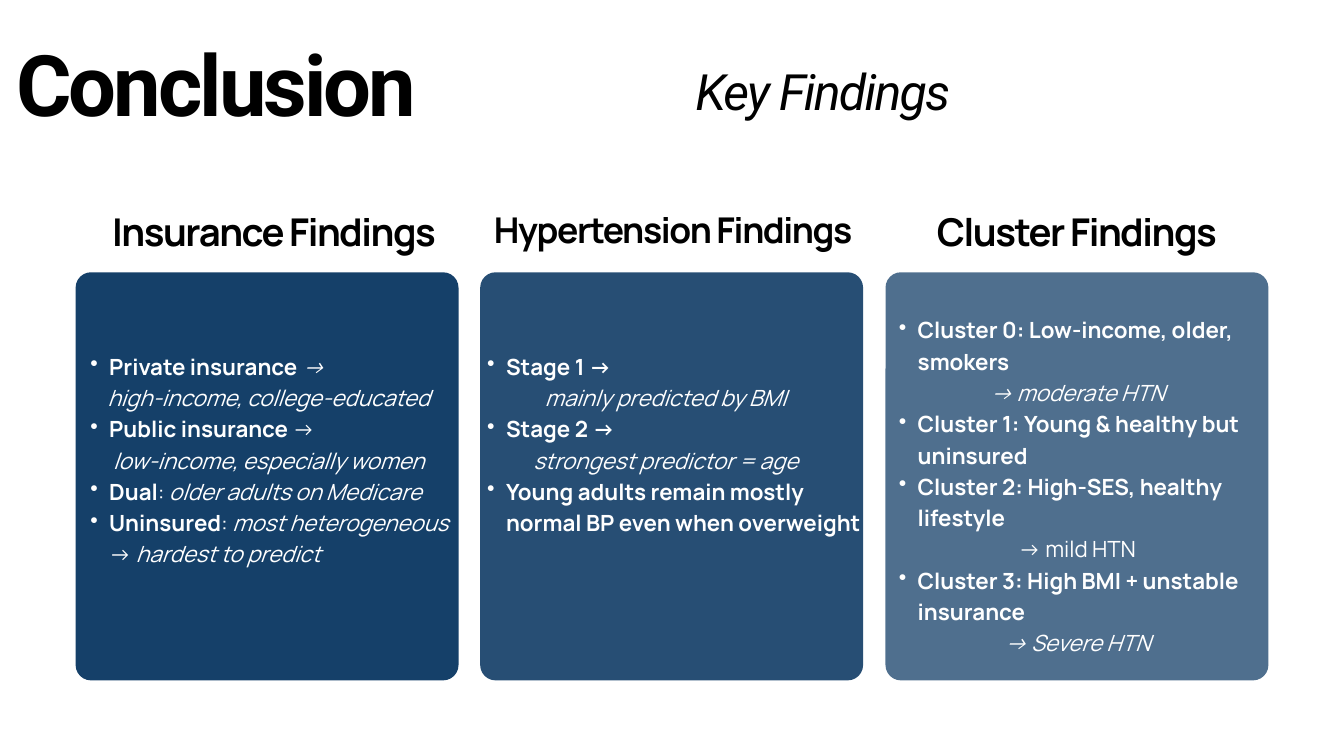
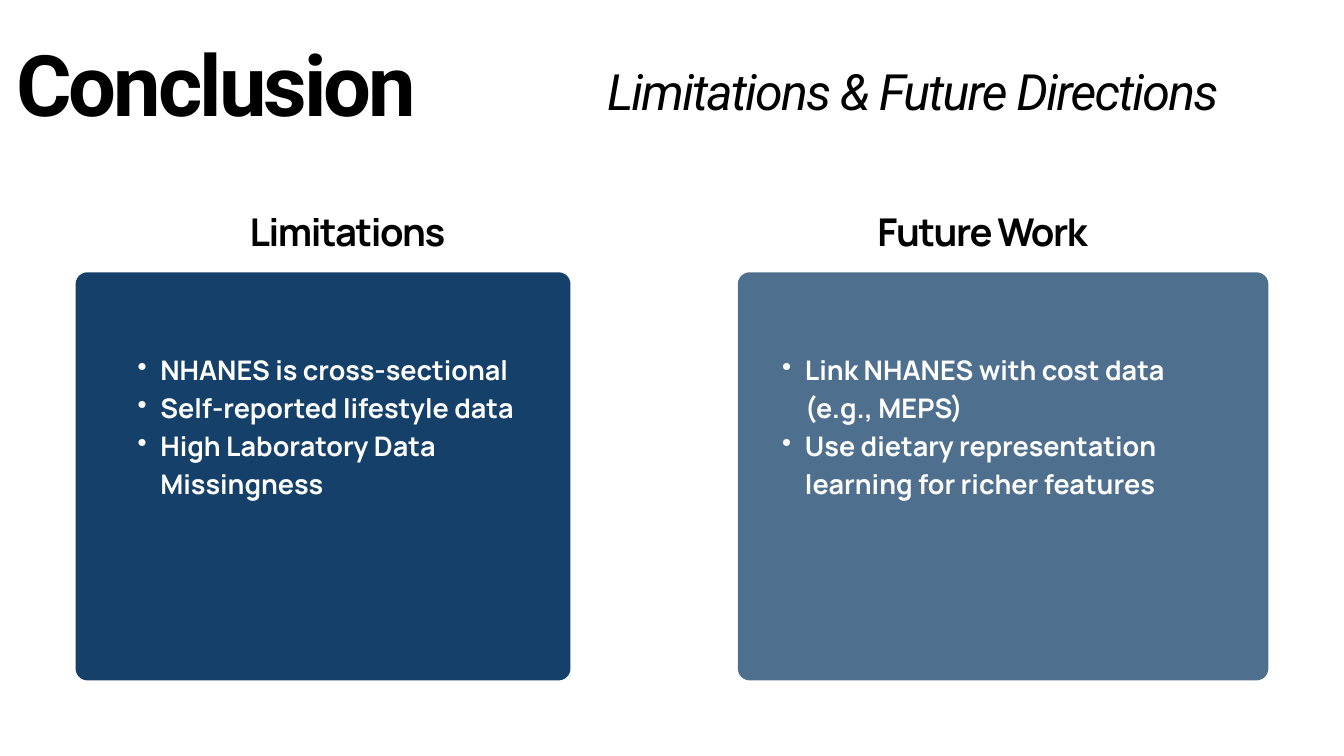
from dataclasses import dataclass

from lxml import etree
from pptx import Presentation
from pptx.dml.color import RGBColor
from pptx.enum.shapes import MSO_SHAPE
from pptx.enum.text import MSO_ANCHOR, MSO_AUTO_SIZE, PP_ALIGN
from pptx.oxml.ns import qn
from pptx.util import Pt

PX = 9525
SLIDE_W, SLIDE_H = 1920, 1080
TITLE_ONLY = 5

NAVY = RGBColor(0x15, 0x40, 0x69)
BLACK = RGBColor(0x00, 0x00, 0x00)
WHITE = RGBColor(0xFF, 0xFF, 0xFF)
DISPLAY, BODY = "Roboto", "Manrope"

ROUNDED = MSO_SHAPE.ROUNDED_RECTANGLE
TOP = MSO_ANCHOR.TOP
NO_AUTOFIT = MSO_AUTO_SIZE.NONE
LEFT, CENTER = PP_ALIGN.LEFT, PP_ALIGN.CENTER

CARDS_LEFT, CARDS_RIGHT = 108, 1812
CARD_TOP, CARD_H = 389, 583
HEADING_TOP, HEADING_H = 287, 77
THIRD_W = 547
THIRD_STEP = (CARDS_RIGHT - CARDS_LEFT - THIRD_W) / 2
LEADING = 1.4


@dataclass
class Card:
    """A findings panel; heading and body boxes are (offset from card left, width)."""
    left: int
    width: int
    opacity: int
    radius: int
    heading: str
    heading_box: tuple
    body: list
    body_box: tuple
    body_drop: int = 109
    body_size: float = 23.9
    indent: int = 54
    heading_size: int = 41


def bullet(*parts):
    """Describe a bulleted paragraph made of (text, style) parts."""
    return True, parts


def centred(text, style="i"):
    """Describe a centred paragraph without a bullet."""
    return False, [(text, style)]


def place(shape, left, top, width, height):
    """Move and size a shape in px."""
    shape.left, shape.top = round(left * PX), round(top * PX)
    shape.width, shape.height = round(width * PX), round(height * PX)


def prepare_frame(shape):
    """Give a text shape zero insets, wrapping and top anchoring."""
    frame = shape.text_frame
    frame.word_wrap = True
    frame.auto_size = NO_AUTOFIT
    frame.vertical_anchor = TOP
    frame.margin_left = frame.margin_right = 0
    frame.margin_top = frame.margin_bottom = 0
    return frame


def add_frame(slide, left, top, width, height):
    """Add a text box in px and return its frame."""
    return prepare_frame(slide.shapes.add_textbox(
        round(left * PX), round(top * PX), round(width * PX), round(height * PX)))


def style_run(run, font, size, color, style="", tracking=0):
    """Format a run; style holds b and i flags, tracking is in points."""
    run.font.name, run.font.size = font, Pt(size)
    run.font.color.rgb = color
    run.font.bold, run.font.italic = "b" in style, "i" in style
    if tracking:
        run._r.get_or_add_rPr().set("spc", str(round(tracking * 100)))


def write_line(frame, text, font, size, style, tracking, leading, align):
    """Write one tightly tracked black display line."""
    frame.text = text
    line = frame.paragraphs[0]
    line.alignment, line.line_spacing = align, Pt(leading)
    style_run(line.runs[0], font, size, BLACK, style, tracking)


def add_bullet(paragraph, indent):
    """Give a paragraph a hanging round bullet."""
    paragraph.level = 1
    properties = paragraph._p.get_or_add_pPr()
    properties.set("marL", str(indent * PX))
    properties.set("indent", str(-indent * PX // 2))
    etree.SubElement(properties, qn("a:buChar")).set("char", "•")


def draw_header(slide, subtitle, left, width):
    """Fill the title placeholder and add the italic subtitle."""
    title = slide.shapes.title
    place(title, 23, 77, 1772, 247)
    write_line(prepare_frame(title), "Conclusion", DISPLAY, 90.9, "b", -3.2, 85.4, LEFT)
    write_line(add_frame(slide, left, 115, width, 73), subtitle,
               DISPLAY, 53.6, "i", -1.9, 42.9, CENTER)


def draw_panel(slide, card):
    """Draw the rounded panel behind a card's text."""
    panel = slide.shapes.add_shape(ROUNDED, 0, 0, 0, 0)
    place(panel, card.left, CARD_TOP, card.width, CARD_H)
    panel.adjustments[0] = card.radius / min(card.width, CARD_H)
    panel.shadow.inherit = False
    panel.line.fill.background()
    panel.fill.solid()
    panel.fill.fore_color.rgb = NAVY
    if card.opacity < 100:
        color = panel._element.spPr.find(qn("a:solidFill")).find(qn("a:srgbClr"))
        etree.SubElement(color, qn("a:alpha")).set("val", str(card.opacity * 1000))


def draw_card(slide, card):
    """Draw a panel with its heading above and its findings inside."""
    draw_panel(slide, card)
    offset, width = card.heading_box
    size = card.heading_size
    write_line(add_frame(slide, card.left + offset, HEADING_TOP, width, HEADING_H),
               card.heading, BODY, size, "b", round(-size * 0.039, 1),
               round(size * LEADING, 1), CENTER)

    offset, width = card.body_box
    frame = add_frame(slide, card.left + offset, CARD_TOP + card.body_drop,
                      width, CARD_H - card.body_drop - 30)
    for index, (bulleted, parts) in enumerate(card.body):
        paragraph = frame.add_paragraph() if index else frame.paragraphs[0]
        paragraph.line_spacing = Pt(round(card.body_size * LEADING, 1))
        paragraph.alignment = LEFT if bulleted else CENTER
        if bulleted:
            add_bullet(paragraph, card.indent)
        for text, style in parts:
            run = paragraph.add_run()
            run.text = text
            style_run(run, BODY, card.body_size, WHITE, style)


def third_left(column):
    """Return the left edge of a column in the three-card row."""
    return round(CARDS_LEFT + column * THIRD_STEP)


INSURANCE = [
    bullet(("Private insurance ", "b"), ("→", "i")),
    centred("high-income, college-educated"),
    bullet(("Public insurance", "b"), (" →", "")),
    centred("low-income, especially women"),
    bullet(("Dual", "b"), (": ", ""), ("older adults on Medicare", "i")),
    bullet(("Uninsured", "b"), (": ", ""), ("most heterogeneous", "i"),
           (" → ", ""), ("hardest to predict", "i")),
]
HYPERTENSION = [
    bullet(("Stage 1 →", "b")),
    centred("mainly predicted by BMI"),
    bullet(("Stage 2 →", "b")),
    centred("strongest predictor = age"),
    bullet(("Young adults remain mostly normal BP even when overweight", "b")),
]
CLUSTERS = [
    bullet(("Cluster 0: Low-income, older, smokers", "b")),
    centred("→ moderate HTN"),
    bullet(("Cluster 1: Young & healthy but uninsured", "b")),
    bullet(("Cluster 2: High-SES, healthy lifestyle", "b")),
    centred("→ mild HTN", ""),
    bullet(("Cluster 3: High BMI + unstable insurance", "b")),
    centred("→ Severe HTN"),
]
LIMITATIONS = [
    bullet(("NHANES is cross-sectional", "b")),
    bullet(("Self-reported lifestyle data", "b")),
    bullet(("High Laboratory Data Missingness", "b")),
]
FUTURE_WORK = [
    bullet(("Link NHANES with cost data (e.g., MEPS)", "b")),
    bullet(("Use dietary representation learning for richer features", "b")),
]

KEY_FINDINGS = [
    Card(third_left(0), THIRD_W, 100, 22, "Insurance Findings", (10, 547),
         INSURANCE, (-6, 564)),
    Card(third_left(1), THIRD_W, 92, 22, "Hypertension Findings", (-21, 593),
         HYPERTENSION, (-17, 564), heading_size=38),
    Card(third_left(2), THIRD_W, 75, 22, "Cluster Findings", (0, 547),
         CLUSTERS, (-8, 564), body_drop=57),
]
OUTLOOK = [
    Card(CARDS_LEFT, 707, 100, 17, "Limitations", (115, 547),
         LIMITATIONS, (56, 595), body_size=28.9, indent=65),
    Card(CARDS_RIGHT - 758, 758, 75, 17, "Future Work", (50, 599),
         FUTURE_WORK, (31, 682), body_size=28.9, indent=65),
]


def build_slide(deck, subtitle, subtitle_left, subtitle_width, cards):
    """Add one conclusion slide with its header and cards."""
    slide = deck.slides.add_slide(deck.slide_layouts[TITLE_ONLY])
    draw_header(slide, subtitle, subtitle_left, subtitle_width)
    for card in cards:
        draw_card(slide, card)


def main():
    """Build and save the deck."""
    deck = Presentation()
    deck.slide_width, deck.slide_height = SLIDE_W * PX, SLIDE_H * PX
    build_slide(deck, "Key Findings", 909, 533, KEY_FINDINGS)
    build_slide(deck, "Limitations & Future Directions", 688, 1232, OUTLOOK)
    deck.save("out.pptx")


if __name__ == "__main__":
    main()
